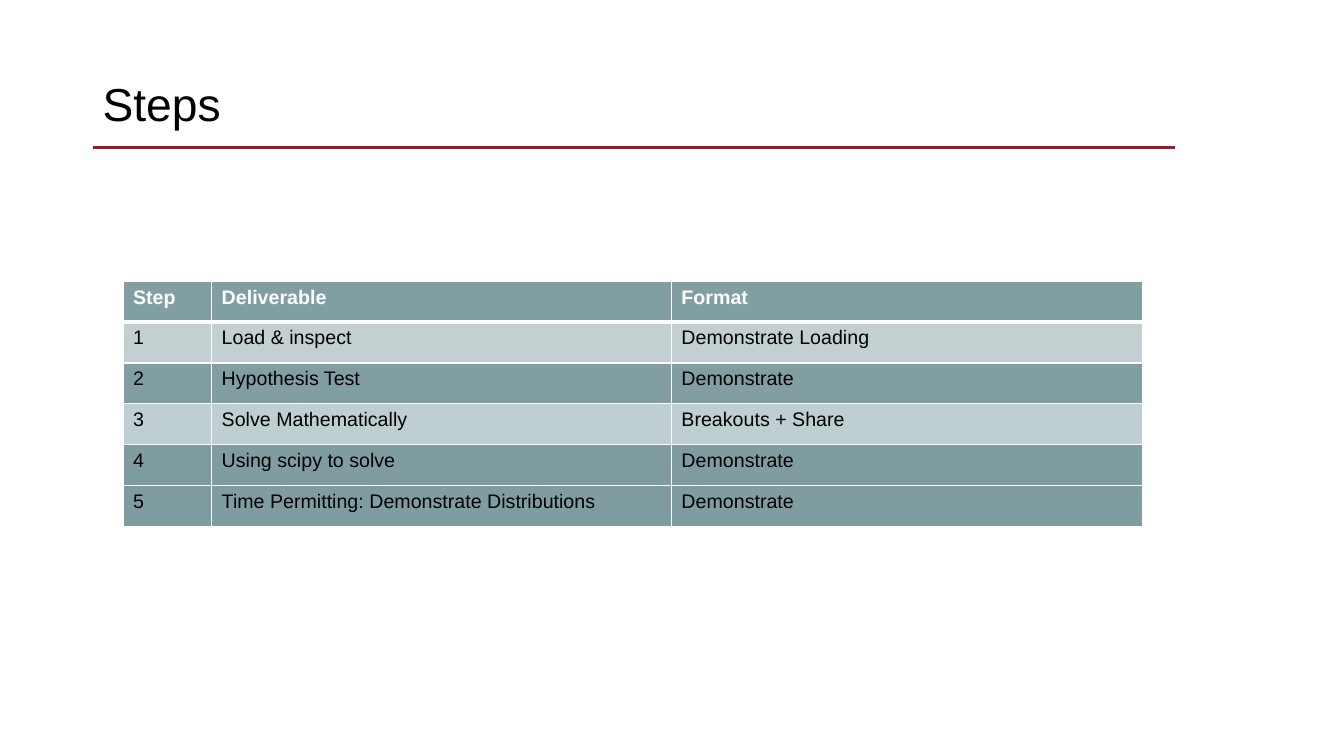
import dataclasses

import lxml.etree
import pptx
import pptx.dml.color
import pptx.enum.shapes
import pptx.enum.text
import pptx.oxml.ns
import pptx.util


@dataclasses.dataclass(frozen=True)
class Theme:
    font: str = "Arial"
    ink: str = "000000"
    paper: str = "FFFFFF"
    accent: str = "971B29"
    teal: str = "2E6064"
    title_size: int = 33
    table_size: int = 14
    rule_width: int = 2
    border_width: int = 1
    header_border_width: int = 3


def rgb(colour):
    return pptx.dml.color.RGBColor.from_string(colour)


def add_xml(parent, tag, **attributes):
    return lxml.etree.SubElement(parent, pptx.oxml.ns.qn(tag), attributes)


def apply_format(target, values):
    for name, value in values.items():
        setattr(target, name, value)


class SlideBuilder:
    def __init__(self, deck, theme):
        self.theme = theme
        self.width, self.height = deck.slide_width, deck.slide_height
        self.slide = deck.slides.add_slide(deck.slide_layouts[6])

    def across(self, percent):
        return round(self.width * percent / 100)

    def down(self, percent):
        return round(self.height * percent / 100)

    def add_wording(self, paragraph, wording, size, colour, bold=False):
        run = paragraph.add_run()
        run.text = wording
        apply_format(run.font, {
            "name": self.theme.font,
            "size": pptx.util.Pt(size),
            "bold": bold,
        })
        run.font.color.rgb = rgb(colour)

    def title(self, wording, left, top, width, height):
        heading = self.slide.shapes.add_textbox(
            self.across(left), self.down(top), self.across(width), self.down(height)
        ).text_frame
        apply_format(heading, {
            "word_wrap": True,
            "vertical_anchor": pptx.enum.text.MSO_ANCHOR.MIDDLE,
        })
        heading.paragraphs[0].line_spacing = 0.9
        self.add_wording(heading.paragraphs[0], wording, self.theme.title_size, self.theme.ink)

    def rule(self, left, right, top):
        underline = self.slide.shapes.add_connector(
            pptx.enum.shapes.MSO_CONNECTOR.STRAIGHT,
            self.across(left), self.down(top), self.across(right), self.down(top),
        )
        underline.line.color.rgb = rgb(self.theme.accent)
        underline.line.width = pptx.util.Pt(self.theme.rule_width)
        add_xml(underline.element.spPr, "a:effectLst")

    def style_cell(self, cell, opacity, top_width, bottom_width):
        properties = cell._tc.get_or_add_tcPr()
        thin = self.theme.border_width
        widths = {"L": thin, "R": thin, "T": top_width, "B": bottom_width}
        for side, width in widths.items():
            border = add_xml(properties, f"a:ln{side}", w=str(pptx.util.Pt(width)))
            paint = add_xml(border, "a:solidFill")
            add_xml(paint, "a:srgbClr", val=self.theme.paper)
        paint = add_xml(properties, "a:solidFill")
        tint = add_xml(paint, "a:srgbClr", val=self.theme.teal)
        add_xml(tint, "a:alpha", val=str(opacity * 1000))

    def table(self, rows, opacities, left, top, column_widths, row_height):
        theme = self.theme
        steps = self.slide.shapes.add_table(
            len(rows), len(column_widths), self.across(left), self.down(top),
            self.across(sum(column_widths)), self.down(row_height * len(rows)),
        ).table
        for column, width in zip(steps.columns, column_widths):
            column.width = self.across(width)
        for index, (wordings, opacity) in enumerate(zip(rows, opacities)):
            header = index == 0
            steps.rows[index].height = self.down(row_height)
            top_width = theme.header_border_width if index == 1 else theme.border_width
            bottom_width = theme.header_border_width if header else theme.border_width
            colour = theme.paper if header else theme.ink
            for cell, wording in zip(steps.rows[index].cells, wordings):
                self.style_cell(cell, opacity, top_width, bottom_width)
                self.add_wording(cell.text_frame.paragraphs[0], wording,
                                 theme.table_size, colour, bold=header)


STEPS = [
    ("Step", "Deliverable", "Format"),
    ("1", "Load & inspect", "Demonstrate Loading"),
    ("2", "Hypothesis Test", "Demonstrate"),
    ("3", "Solve Mathematically", "Breakouts + Share"),
    ("4", "Using scipy to solve", "Demonstrate"),
    ("5", "Time Permitting: Demonstrate Distributions", "Demonstrate"),
]
ROW_OPACITIES = [60, 29, 60, 30, 61, 61]


def main():
    deck = pptx.Presentation()
    apply_format(deck, {
        "slide_width": pptx.util.Inches(13.33),
        "slide_height": pptx.util.Inches(7.5),
    })
    page = SlideBuilder(deck, Theme())
    page.rule(left=6.9, right=87.4, top=19.47)
    page.title("Steps", left=6.9, top=4.4, width=86.27, height=19.33)
    page.table(STEPS, ROW_OPACITIES, left=9.15, top=37.2,
               column_widths=[6.6, 34.21, 35.03], row_height=5.41)
    deck.save("out.pptx")


if __name__ == "__main__":
    main()
